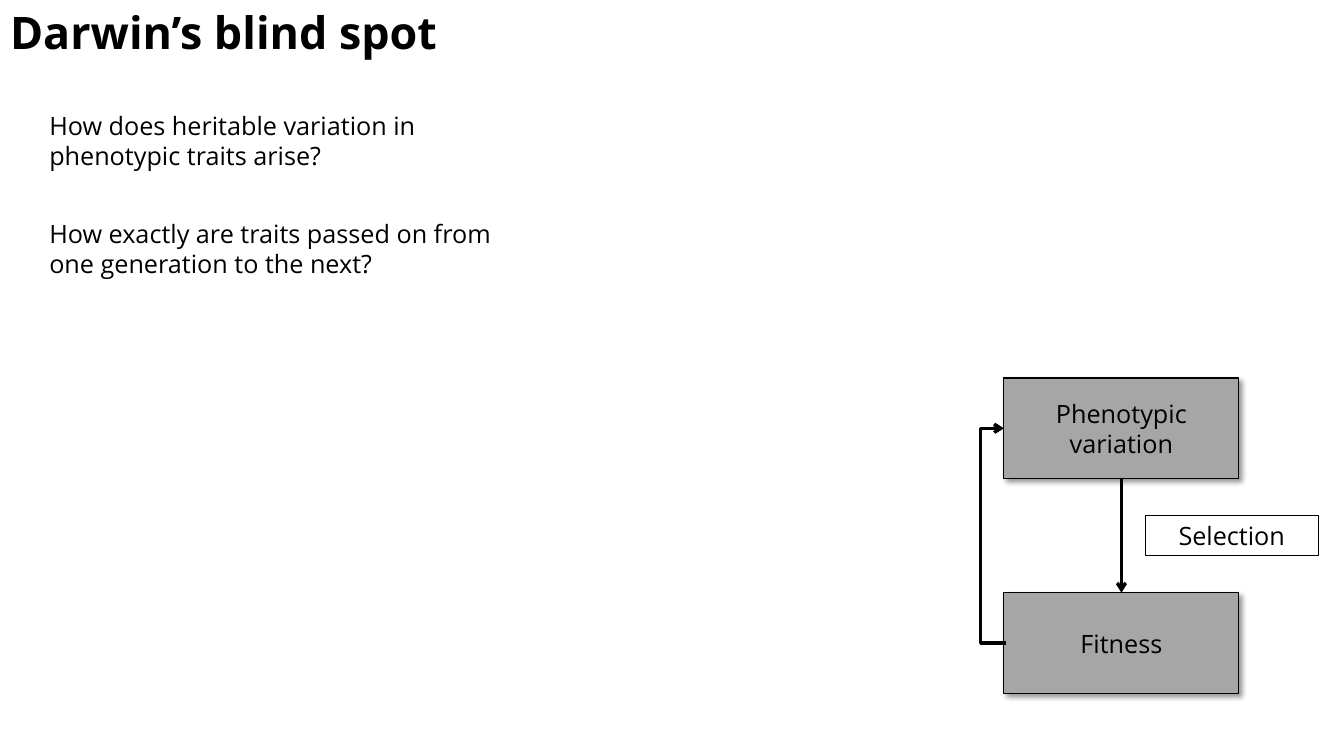
from lxml import etree
from pptx import Presentation, util as u
from pptx.dml.color import RGBColor
from pptx.enum import shapes as sh, text as tx
from pptx.oxml.ns import qn

WIDE, HIGH = u.Inches(13.33), u.Inches(7.5)
COL, ROW = WIDE / 100, HIGH / 100  # grid of 100 by 100
INK, GREY = "000000", "A6A6A6"
LEFT, TOP = 74.7, 50  # corner of the upper box
BOX_W, BOX_H, STEP = 17.48, 13.33, 28.4


def grid(x, y, w, h):
    return int(x * COL), int(y * ROW), int(w * COL), int(h * ROW)


def paint(color, code):
    color.rgb = RGBColor.from_string(code)


def apply(item, form):
    for key, val in form.items():
        setattr(item, key, val)


def write(frame, lines, form, para=None, size=18, bold=False):
    """Fill a text frame, one paragraph per line."""
    apply(frame, form)
    for i, line in enumerate(lines):
        p = frame.paragraphs[0] if i == 0 else frame.add_paragraph()
        apply(p, para or {})
        run = p.add_run()
        run.text = line
        apply(run.font, {"name": "Open Sans", "size": u.Pt(size), "bold": bold})
        paint(run.font.color, INK)


def shade(shape):
    """Soft shadow to the lower right."""
    fx = shape._element.spPr.find(qn("a:effectLst"))
    out = etree.SubElement(fx, qn("a:outerShdw"), blurRad=str(u.Pt(4)),
                           dist=str(u.Pt(3)), dir="2700000", algn="tl",
                           rotWithShape="0")
    clr = etree.SubElement(out, qn("a:srgbClr"), val=INK)
    etree.SubElement(clr, qn("a:alpha"), val="40000")


def box(slide, label, place, fill=None, form=None):
    shape = slide.shapes.add_shape(sh.MSO_SHAPE.RECTANGLE, *grid(*place))
    shape.shadow.inherit = False
    if fill:
        shape.fill.solid()
        paint(shape.fill.fore_color, fill)
        shade(shape)
    else:
        shape.fill.background()
    paint(shape.line.color, INK)
    shape.line.width = u.Pt(0.75)
    look = {"word_wrap": True, "vertical_anchor": tx.MSO_ANCHOR.MIDDLE}
    write(shape.text_frame, [label], {**look, **(form or {})},
          {"alignment": tx.PP_ALIGN.CENTER})
    return shape


def arrow(slide, kind, start, end):
    """Join two boxes; start and end are (box, side)."""
    link = slide.shapes.add_connector(kind, 0, 0, 0, 0)
    link.begin_connect(*start)
    link.end_connect(*end)
    paint(link.line.color, INK)
    link.line.width = u.Pt(2.25)
    etree.SubElement(link.line._get_or_add_ln(), qn("a:tailEnd"), type="arrow")
    etree.SubElement(link._element.spPr, qn("a:effectLst"))
    return link


def bend(link, reach):
    """Push the elbow out to the left by reach."""
    link.begin_x += u.Inches(0.02)
    share = round(reach / link.width * 100000)
    geom = link._element.spPr.find(qn("a:prstGeom"))
    guides = geom.find(qn("a:avLst"))
    if guides is None:
        guides = etree.SubElement(geom, qn("a:avLst"))
    etree.SubElement(guides, qn("a:gd"), name="adj1", fmla=f"val {share}")


def main():
    deck = Presentation()
    apply(deck, {"slide_width": WIDE, "slide_height": HIGH})
    slide = deck.slides.add_slide(deck.slide_layouts[5])

    # Title
    title = slide.shapes.title
    apply(title, dict(zip(("left", "top", "width", "height"),
                          grid(0, 0, 33.75, 8.53))))
    write(title.text_frame, ["Darwin’s blind spot"],
          {"word_wrap": False, "auto_size": tx.MSO_AUTO_SIZE.SHAPE_TO_FIT_TEXT,
           "vertical_anchor": tx.MSO_ANCHOR.TOP},
          {"alignment": tx.PP_ALIGN.LEFT}, size=32, bold=True)

    # Questions
    asks = slide.shapes.add_textbox(*grid(2.93, 13.87, 36.53, 23.73)).text_frame
    write(asks, ["How does heritable variation in phenotypic traits arise?",
                 "How exactly are traits passed on from one generation to the next?"],
          {"word_wrap": True, "auto_size": tx.MSO_AUTO_SIZE.SHAPE_TO_FIT_TEXT},
          {"space_after": u.Pt(6)})
    asks.paragraphs[1].space_before = u.Pt(28)

    # Cycle of variation and fitness
    trait, fit = [box(slide, label, (LEFT, TOP + i * STEP, BOX_W, BOX_H), GREY)
                  for i, label in enumerate(("Phenotypic variation", "Fitness"))]
    arrow(slide, sh.MSO_CONNECTOR.STRAIGHT, (trait, 2), (fit, 0))
    box(slide, "Selection", (85.2, 68.13, 12.9, 5.33),
        form={"auto_size": tx.MSO_AUTO_SIZE.SHAPE_TO_FIT_TEXT,
              "vertical_anchor": tx.MSO_ANCHOR.TOP})
    back = arrow(slide, sh.MSO_CONNECTOR.ELBOW, (fit, 1), (trait, 1))
    bend(back, u.Inches(0.25))

    deck.save("out.pptx")


if __name__ == "__main__":
    main()
